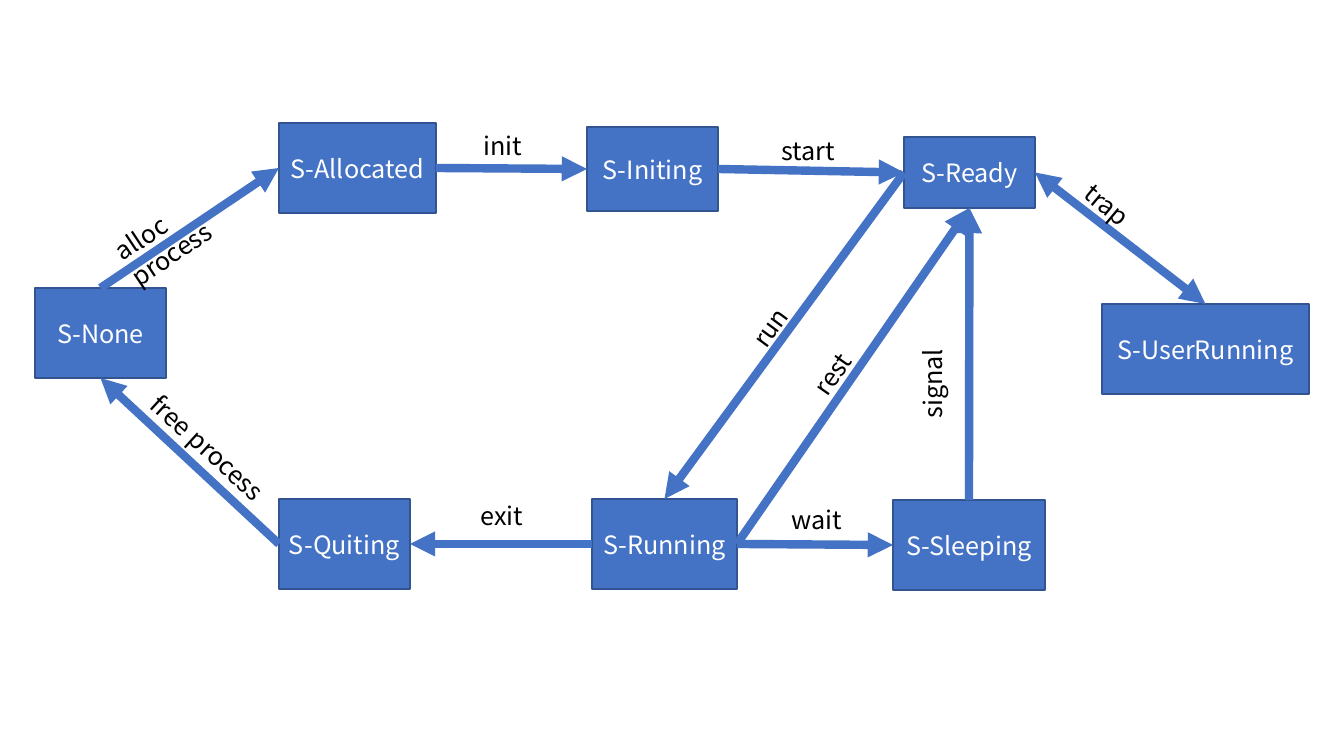
from dataclasses import dataclass
from enum import IntEnum

from lxml.etree import SubElement
from pptx import Presentation
from pptx.dml.color import RGBColor
from pptx.enum.shapes import MSO_CONNECTOR, MSO_SHAPE
from pptx.enum.text import MSO_ANCHOR, MSO_AUTO_SIZE, PP_ALIGN
from pptx.oxml.ns import qn
from pptx.util import Pt

EMU_PER_PIXEL = 914400 / 100.8


class Side(IntEnum):
    TOP = 0
    LEFT = 1
    BOTTOM = 2
    RIGHT = 3


@dataclass(frozen=True)
class Theme:
    accent: RGBColor = RGBColor.from_string("4472C4")
    border: RGBColor = RGBColor.from_string("325491")
    light: RGBColor = RGBColor.from_string("FFFFFF")
    dark: RGBColor = RGBColor.from_string("000000")
    font: str = "Noto Sans CJK SC"
    text_size: Pt = Pt(18)
    border_width: Pt = Pt(1)
    arrow_width: Pt = Pt(6)


def pixels(*lengths):
    return [round(length * EMU_PER_PIXEL) for length in lengths]


def apply_format(target, values):
    for name, value in values.items():
        setattr(target, name, value)


class Diagram:
    def __init__(self, slide, theme):
        self.slide = slide
        self.theme = theme

    def add_text(self, shape, text, color, alignment, frame_format):
        apply_format(shape.text_frame, {"word_wrap": True, **frame_format})
        paragraph = shape.text_frame.paragraphs[0]
        paragraph.alignment = alignment
        run = paragraph.add_run()
        run.text = text
        apply_format(run.font, {"name": self.theme.font, "size": self.theme.text_size})
        run.font.color.rgb = color

    def state(self, text, box):
        shape = self.slide.shapes.add_shape(MSO_SHAPE.RECTANGLE, *pixels(*box))
        shape.shadow.inherit = False
        shape.fill.solid()
        shape.fill.fore_color.rgb = self.theme.accent
        shape.line.color.rgb = self.theme.border
        shape.line.width = self.theme.border_width
        self.add_text(shape, text, self.theme.light, PP_ALIGN.CENTER,
                      {"vertical_anchor": MSO_ANCHOR.MIDDLE})
        return shape

    def arrow(self, source, source_side, target, target_side, ends):
        connector = self.slide.shapes.add_connector(MSO_CONNECTOR.STRAIGHT, 0, 0, 0, 0)
        connector.begin_connect(source, source_side)
        connector.end_connect(target, target_side)
        connector.line.color.rgb = self.theme.accent
        connector.line.width = self.theme.arrow_width
        line = connector._element.spPr.find(qn("a:ln"))
        for end in ends:
            SubElement(line, qn(f"a:{end}"), type="triangle")
        SubElement(connector._element.spPr, qn("a:effectLst"))

    def label(self, text, box, rotation):
        shape = self.slide.shapes.add_textbox(*pixels(*box))
        shape.rotation = rotation
        alignment = PP_ALIGN.LEFT if rotation else PP_ALIGN.CENTER
        self.add_text(shape, text, self.theme.dark, alignment,
                      {"auto_size": MSO_AUTO_SIZE.SHAPE_TO_FIT_TEXT})


STATES = {
    "S-None": (35, 288, 131, 90),
    "S-Allocated": (279, 123, 157, 90),
    "S-Initing": (587, 127, 131, 84),
    "S-Ready": (904, 137, 131, 71),
    "S-UserRunning": (1102, 304, 207, 90),
    "S-Sleeping": (893, 500, 152, 90),
    "S-Running": (592, 499, 145, 90),
    "S-Quiting": (279, 499, 131, 90),
}
LABEL_HEIGHT = 40
ONE_WAY = ("tailEnd",)
TWO_WAY = ("headEnd", "tailEnd")
TRANSITIONS = [
    ("S-None", Side.TOP, "S-Allocated", Side.LEFT, ONE_WAY, "alloc process", (95, 193, 166), 326.5),
    ("S-Allocated", Side.RIGHT, "S-Initing", Side.LEFT, ONE_WAY, "init", (420, 125, 166), 0),
    ("S-Initing", Side.RIGHT, "S-Ready", Side.LEFT, ONE_WAY, "start", (725, 130, 166), 0),
    ("S-Ready", Side.LEFT, "S-Running", Side.TOP, ONE_WAY, "run", (728, 284, 118), 306.4),
    ("S-Sleeping", Side.TOP, "S-Ready", Side.BOTTOM, ONE_WAY, "signal", (882, 358, 101), 270),
    ("S-Running", Side.RIGHT, "S-Ready", Side.BOTTOM, ONE_WAY, "rest", (795, 344, 88), 304.9),
    ("S-Running", Side.RIGHT, "S-Sleeping", Side.LEFT, ONE_WAY, "wait", (734, 499, 166), 0),
    ("S-Ready", Side.RIGHT, "S-UserRunning", Side.TOP, TWO_WAY, "trap", (1073, 186, 72), 39.9),
    ("S-Running", Side.LEFT, "S-Quiting", Side.RIGHT, ONE_WAY, "exit", (419, 495, 166), 0),
    ("S-Quiting", Side.LEFT, "S-None", Side.BOTTOM, ONE_WAY, "free process", (121, 443, 208), 42.3),
]

presentation = Presentation()
presentation.slide_width, presentation.slide_height = pixels(1344, 756)
slide = presentation.slides.add_slide(presentation.slide_layouts[6])
diagram = Diagram(slide, Theme())
states = {name: diagram.state(name, box) for name, box in STATES.items()}
for source, source_side, target, target_side, ends, text, place, rotation in TRANSITIONS:
    diagram.arrow(states[source], source_side, states[target], target_side, ends)
    diagram.label(text, (*place, LABEL_HEIGHT), rotation)
presentation.save("out.pptx")
